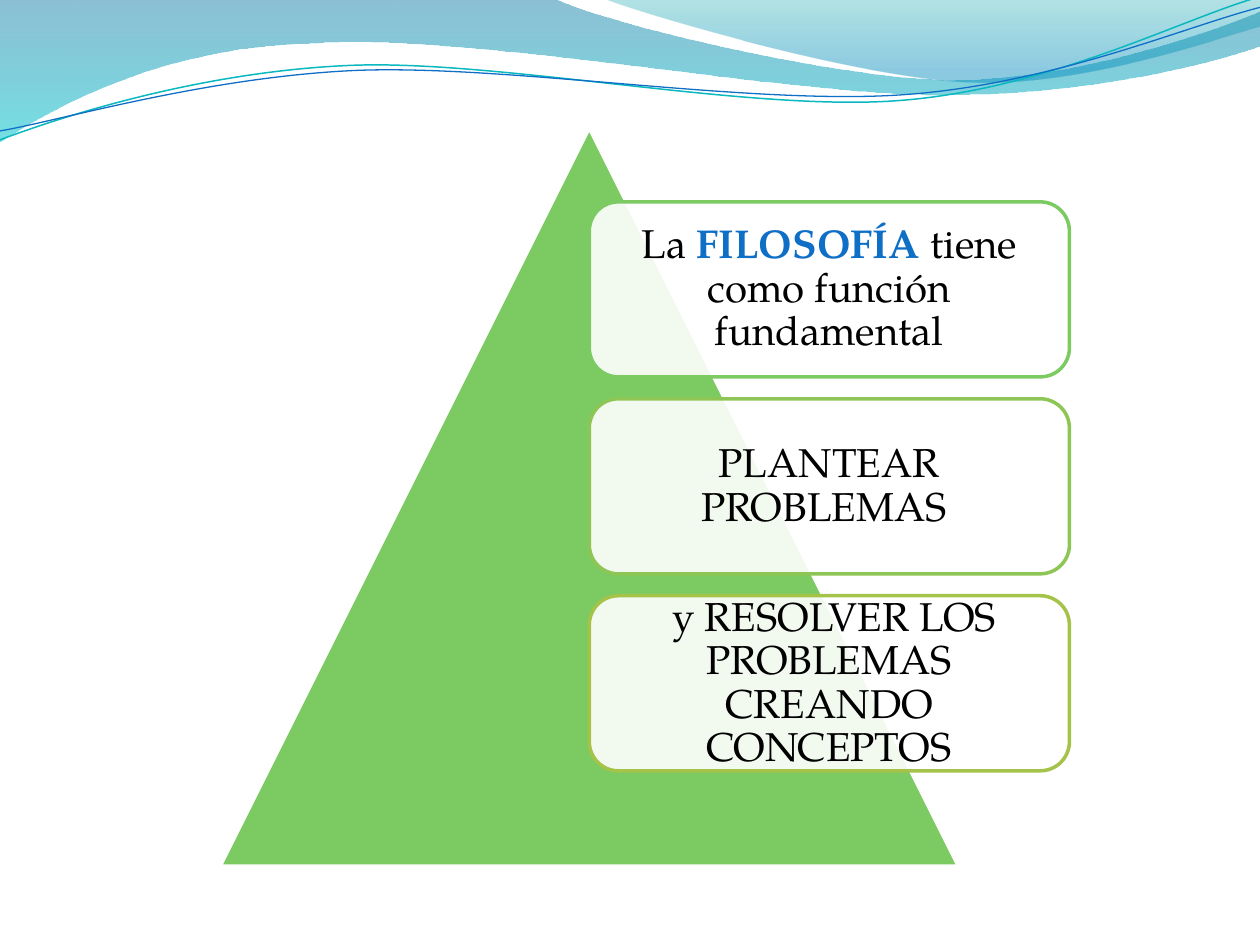
from lxml import etree
from pptx import Presentation, util as u
from pptx.dml.color import RGBColor
from pptx.enum import shapes as sh, text as tx
from pptx.oxml.ns import qn

THEME = {
    "font": "TeX Gyre Pagella", "size": 23, "border": 2,
    "text": "000000", "accent": "0F6FC6", "paper": "FFFFFF", "paper_alpha": 90,
    "pyramid": "7CCA62",
}

# Each statement: border colour and its runs (text, emphasised)
STATEMENTS = [
    ("7CCA62", [("La ", False), ("FILOSOFÍA", True),
                (" tiene como función fundamental", False)]),
    ("8EC656", [("PLANTEAR PROBLEMAS ", False)]),
    ("A5C249", [(" y RESOLVER LOS PROBLEMAS CREANDO CONCEPTOS", False)]),
]

# Waves in cm: a start, then steps of one point (line) or three (Bézier curve).
# Gradient stops are (position, colour, opacity %).
FILLED_WAVES = [
    {"start": (0, 0),
     "steps": [[(11.18, -0.03)],
               [(12.09, 0.43), (16.87, 1.6), (19.25, 1.6)],
               [(21.67, 1.6), (24.33, 0.66), (25.4, 0.23)],
               [(25.43, 0.91)],
               [(24.97, 1.12), (22.1, 1.93), (18.95, 1.91)],
               [(15.8, 1.91), (9.7, 0.71), (6.53, 0.86)],
               [(3.28, 0.91), (1.17, 2.11), (-0.03, 2.87)]],
     "stops": [(0, "0074A1", 45), (1, "00C6CF", 55)]},
    {"start": (12.17, -0.03),
     "steps": [[(12.93, 0.28), (17.32, 1.57), (19.53, 1.65)],
               [(21.74, 1.75), (24.41, 0.81), (25.4, 0.53)],
               [(25.4, 0)]],
     "stops": [(0, "00A1A9", 30), (0.8, "008BBF", 45)]},
]
LINE_WAVES = [
    {"start": (0, 2.82), "color": "0AB8BF", "width": 0.85,
     "steps": [[(1.22, 2.36), (4.01, 1.45), (7.04, 1.32)],
               [(10.03, 1.19), (15.06, 2.26), (18.11, 2.03)],
               [(21.16, 1.8), (23.83, 0.38), (25.35, -0.05)]]},
    {"start": (0, 2.64), "color": "0F6FC6", "width": 0.75,
     "steps": [[(1.19, 2.44), (4.17, 1.55), (7.19, 1.42)],
               [(10.24, 1.3), (15.16, 2.13), (18.21, 1.91)],
               [(21.23, 1.7), (23.9, 0.53), (25.4, 0.15)]]},
]

# Layout in cm
PYRAMID = (4.44, 2.58, 14.88, 14.88)
CARD_LEFT, CARD_TOP, CARD_WIDTH, CARD_HEIGHT = 11.88, 4.07, 9.68, 3.53
CARD_PITCH = 3.97
CARD_MARGIN = 0.25


def rgb(code):
    return RGBColor.from_string(code)


def set_alpha(color_element, percent):
    etree.SubElement(color_element, qn("a:alpha")).set("val", str(percent * 1000))


def outline(shape, color, width):
    shape.line.color.rgb = rgb(color)
    shape.line.width = u.Pt(width)


def add_wave(slide, wave, close):
    points = [point for step in wave["steps"] for point in step]
    builder = slide.shapes.build_freeform(*map(u.Cm, wave["start"]))
    builder.add_line_segments([(u.Cm(x), u.Cm(y)) for x, y in points], close=close)
    shape = builder.convert_to_shape()
    shape.shadow.inherit = False

    # Join the three segments of each curved step into one Bézier curve
    segments = iter(shape._element.spPr.findall(".//" + qn("a:lnTo")))
    for step in wave["steps"]:
        first, *others = [next(segments) for _ in step]
        if others:
            first.tag = qn("a:cubicBezTo")
            for segment in others:
                first.append(segment[0])
                segment.getparent().remove(segment)
    return shape


def add_preset(slide, kind, box):
    shape = slide.shapes.add_shape(kind, *map(u.Cm, box))
    shape.shadow.inherit = False
    shape.fill.solid()
    return shape


def write_statement(card, runs):
    frame = card.text_frame
    frame.word_wrap = True
    frame.vertical_anchor = tx.MSO_ANCHOR.MIDDLE
    frame.margin_left = frame.margin_right = u.Cm(CARD_MARGIN)
    frame.margin_top = frame.margin_bottom = u.Cm(CARD_MARGIN)
    statement = frame.paragraphs[0]
    statement.alignment = tx.PP_ALIGN.CENTER
    statement.line_spacing = 0.9
    for words, emphasised in runs:
        run = statement.add_run()
        run.text = words
        run.font.name = THEME["font"]
        run.font.size = u.Pt(THEME["size"])
        run.font.bold = emphasised
        run.font.color.rgb = rgb(THEME["accent" if emphasised else "text"])


def main():
    deck = Presentation()
    deck.slide_width, deck.slide_height = u.Cm(25.4), u.Cm(19.05)
    slide = deck.slides.add_slide(deck.slide_layouts[6])

    # Header waves
    for wave in FILLED_WAVES:
        band = add_wave(slide, wave, close=True)
        band.line.fill.background()
        band.fill.gradient()
        band.fill.gradient_angle = 270  # top to bottom
        for stop, (position, color, _) in zip(band.fill.gradient_stops, wave["stops"]):
            stop.position = position
            stop.color.rgb = rgb(color)
        colors = band._element.spPr.findall(".//" + qn("a:srgbClr"))
        for element, (_, _, opacity) in zip(colors, wave["stops"]):
            set_alpha(element, opacity)
    for wave in LINE_WAVES:
        strand = add_wave(slide, wave, close=False)
        strand.fill.background()
        outline(strand, wave["color"], wave["width"])

    # Pyramid
    pyramid = add_preset(slide, sh.MSO_SHAPE.ISOSCELES_TRIANGLE, PYRAMID)
    pyramid.fill.fore_color.rgb = rgb(THEME["pyramid"])
    outline(pyramid, THEME["paper"], THEME["border"])

    # Statement cards
    for row, (border, runs) in enumerate(STATEMENTS):
        box = (CARD_LEFT, CARD_TOP + row * CARD_PITCH, CARD_WIDTH, CARD_HEIGHT)
        card = add_preset(slide, sh.MSO_SHAPE.ROUNDED_RECTANGLE, box)
        card.fill.fore_color.rgb = rgb(THEME["paper"])
        set_alpha(card._element.spPr.find(".//" + qn("a:srgbClr")), THEME["paper_alpha"])
        outline(card, border, THEME["border"])
        write_statement(card, runs)

    deck.save("out.pptx")


if __name__ == "__main__":
    main()
